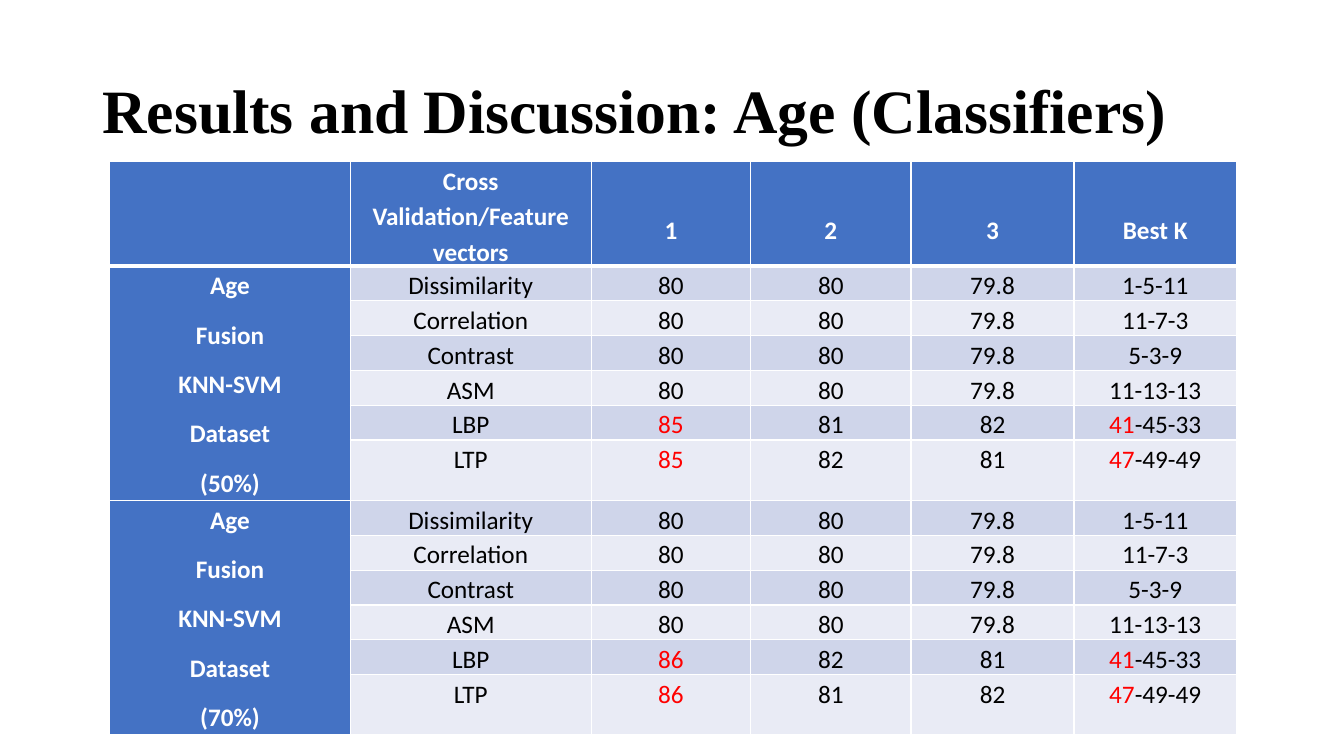
from dataclasses import dataclass

from lxml import etree
from pptx import Presentation
from pptx.dml.color import RGBColor
from pptx.enum.text import MSO_ANCHOR, PP_ALIGN
from pptx.oxml.ns import qn
from pptx.util import Pt

CENTER = PP_ALIGN.CENTER
MIDDLE = MSO_ANCHOR.MIDDLE

WHITE, BLACK, RED, BLUE = "FFFFFF", "000000", "FF0000", "4472C4"
BANDS = ("CFD5EA", "E9EBF5")
COL_WIDTHS = (172, 172, 114, 114.5, 116.5, 116)
HEADER_HEIGHT, ROW_HEIGHT, LAST_ROW_HEIGHT = 73.4, 24.5, 43.2
HEADER_DROP = 35.3  # places short headings on the second line


@dataclass
class Feature:
    name: str
    folds: tuple[str, str, str]
    best_k: str
    highlight: bool = False


@dataclass
class Dataset:
    share: str
    features: list[Feature]


@dataclass
class CellStyle:
    fill: str
    color: str = BLACK
    bold: bool = False
    space_after: float = 0
    top: float = 0
    border_top: float = 1
    border_bottom: float = 1


PLAIN_FEATURES = [
    Feature(name, ("80", "80", "79.8"), best_k)
    for name, best_k in (("Dissimilarity", "1-5-11"), ("Correlation", "11-7-3"),
                         ("Contrast", "5-3-9"), ("ASM", "11-13-13"))
]
DATASETS = [
    Dataset("50%", PLAIN_FEATURES + [
        Feature("LBP", ("85", "81", "82"), "41-45-33", True),
        Feature("LTP", ("85", "82", "81"), "47-49-49", True)]),
    Dataset("70%", PLAIN_FEATURES + [
        Feature("LBP", ("86", "82", "81"), "41-45-33", True),
        Feature("LTP", ("86", "81", "82"), "47-49-49", True)]),
]
HEADINGS = ("", "Cross Validation/Feature vectors", "1", "2", "3", "Best K")


def rgb(color: str) -> RGBColor:
    return RGBColor.from_string(color)


def format_run(r, font: str, size: float, color: str, bold: bool) -> None:
    r.font.name = font
    r.font.size = Pt(size)
    r.font.color.rgb = rgb(color)
    r.font.bold = bold


def set_borders(cell, top: float, bottom: float) -> None:
    tc_pr = cell._tc.get_or_add_tcPr()
    for side, width in (("L", 1), ("R", 1), ("T", top), ("B", bottom)):
        ln = etree.SubElement(tc_pr, qn(f"a:ln{side}"), w=str(Pt(width)))
        fill = etree.SubElement(ln, qn("a:solidFill"))
        etree.SubElement(fill, qn("a:srgbClr"), val=WHITE)


def fill_cell(cell, text: str, style: CellStyle, red: bool = False) -> None:
    set_borders(cell, style.border_top, style.border_bottom)
    cell.fill.solid()
    cell.fill.fore_color.rgb = rgb(style.fill)
    cell.margin_left = cell.margin_right = Pt(5)
    cell.margin_top, cell.margin_bottom = Pt(style.top), Pt(0)
    cell.text_frame.text = text
    for p in cell.text_frame.paragraphs:
        p.alignment = CENTER
        p.line_spacing = 1.15
        p.space_after = Pt(style.space_after)
        if red:  # only the part before the first hyphen is red
            first, hyphen, rest = text.partition("-")
            p.text = first
            if rest:
                p.add_run().text = hyphen + rest
        for i, r in enumerate(p.runs):
            color = RED if red and i == 0 else style.color
            format_run(r, "Calibri", 18, color, style.bold)


def add_title(s, text: str) -> None:
    tf = s.shapes.add_textbox(Pt(66), Pt(28.8), Pt(828), Pt(104.4)).text_frame
    tf.word_wrap = True
    tf.vertical_anchor = MIDDLE
    tf.text = text
    p = tf.paragraphs[0]
    p.line_spacing = 0.9
    format_run(p.runs[0], "Times New Roman", 44, BLACK, True)


def add_results(s, datasets: list[Dataset]) -> None:
    heights = [HEADER_HEIGHT]
    for dataset in datasets:
        heights += [ROW_HEIGHT] * (len(dataset.features) - 1) + [LAST_ROW_HEIGHT]
    table = s.shapes.add_table(len(heights), len(COL_WIDTHS), Pt(78.3), Pt(115.5),
                               Pt(sum(COL_WIDTHS)), Pt(sum(heights))).table
    for column, width in zip(table.columns, COL_WIDTHS):
        column.width = Pt(width)
    for row, height in zip(table.rows, heights):
        row.height = Pt(height)

    # Header row
    for col, heading in enumerate(HEADINGS):
        drop = HEADER_DROP if col > 1 else 0
        fill_cell(table.cell(0, col), heading,
                  CellStyle(BLUE, WHITE, True, 10, drop, border_bottom=3))

    # One merged label and a band of feature rows per dataset
    row = 1
    for dataset in datasets:
        start = row
        for i, feature in enumerate(dataset.features):
            band = BANDS[i % 2]
            border_top = 3 if row == 1 else 1
            fill_cell(table.cell(row, 1), feature.name,
                      CellStyle(band, space_after=10, border_top=border_top))
            for col, value in enumerate((*feature.folds, feature.best_k), 2):
                red = feature.highlight and col in (2, 5)
                fill_cell(table.cell(row, col), value,
                          CellStyle(band, border_top=border_top), red)
            row += 1
        label = table.cell(start, 0)
        label.merge(table.cell(row - 1, 0))
        fill_cell(label, f"Age\nFusion\nKNN-SVM\nDataset\n({dataset.share})",
                  CellStyle(BLUE, WHITE, True, 10, border_top=3 if start == 1 else 1))


def main() -> None:
    prs = Presentation()
    prs.slide_width, prs.slide_height = Pt(960), Pt(540)
    s = prs.slides.add_slide(prs.slide_layouts[6])
    add_title(s, "Results and Discussion: Age (Classifiers)")
    add_results(s, DATASETS)
    prs.save("out.pptx")


if __name__ == "__main__":
    main()
